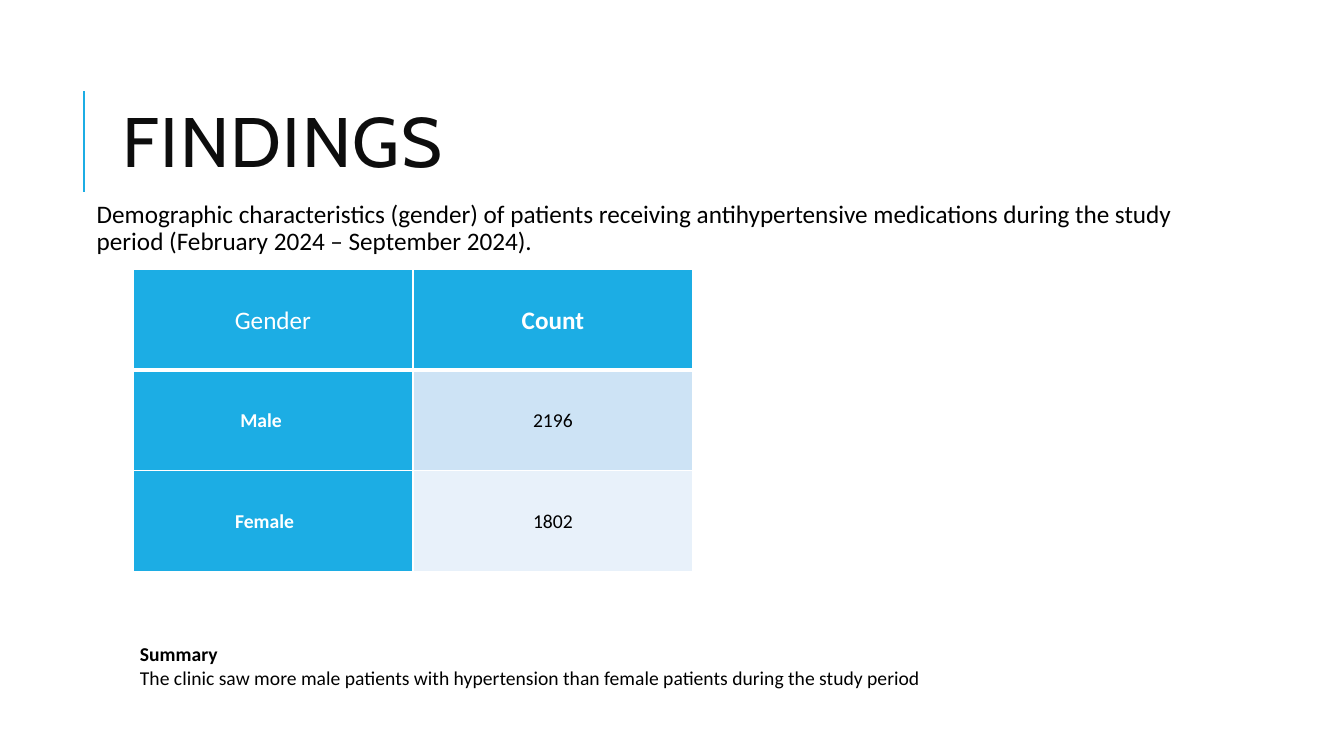
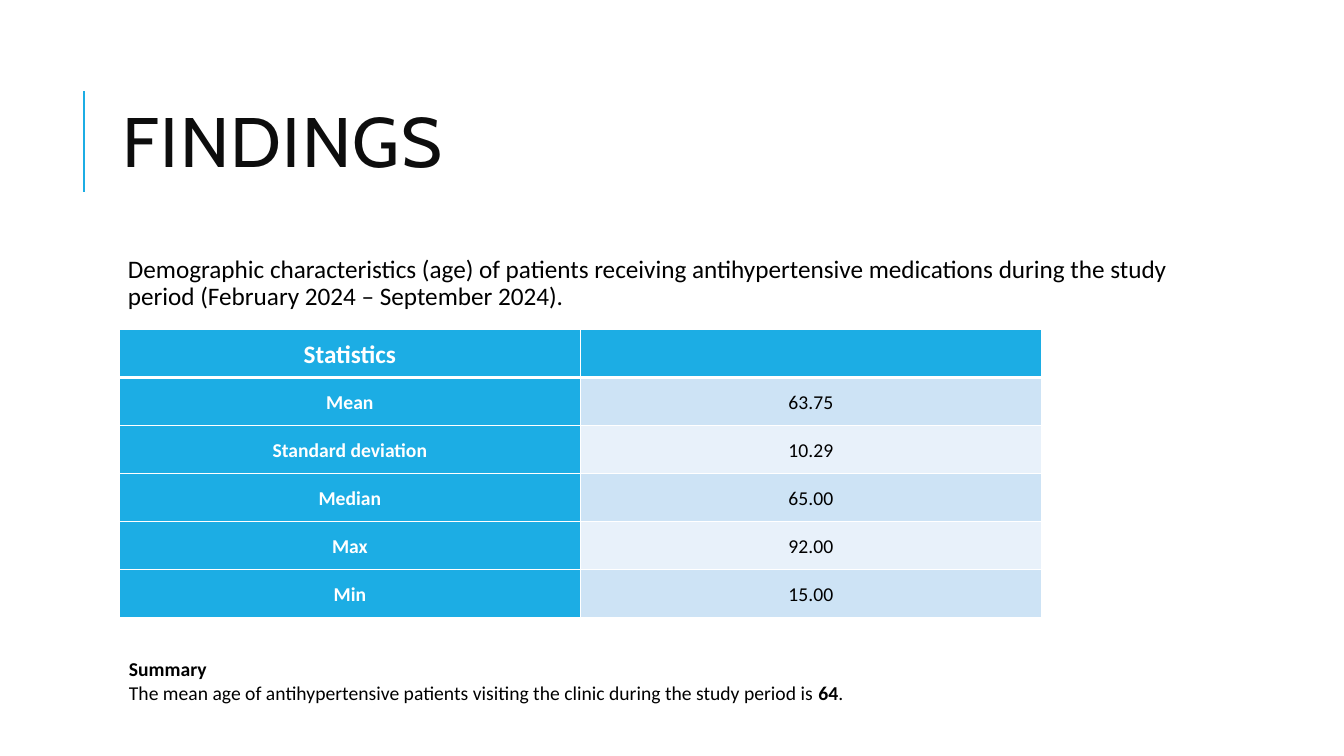
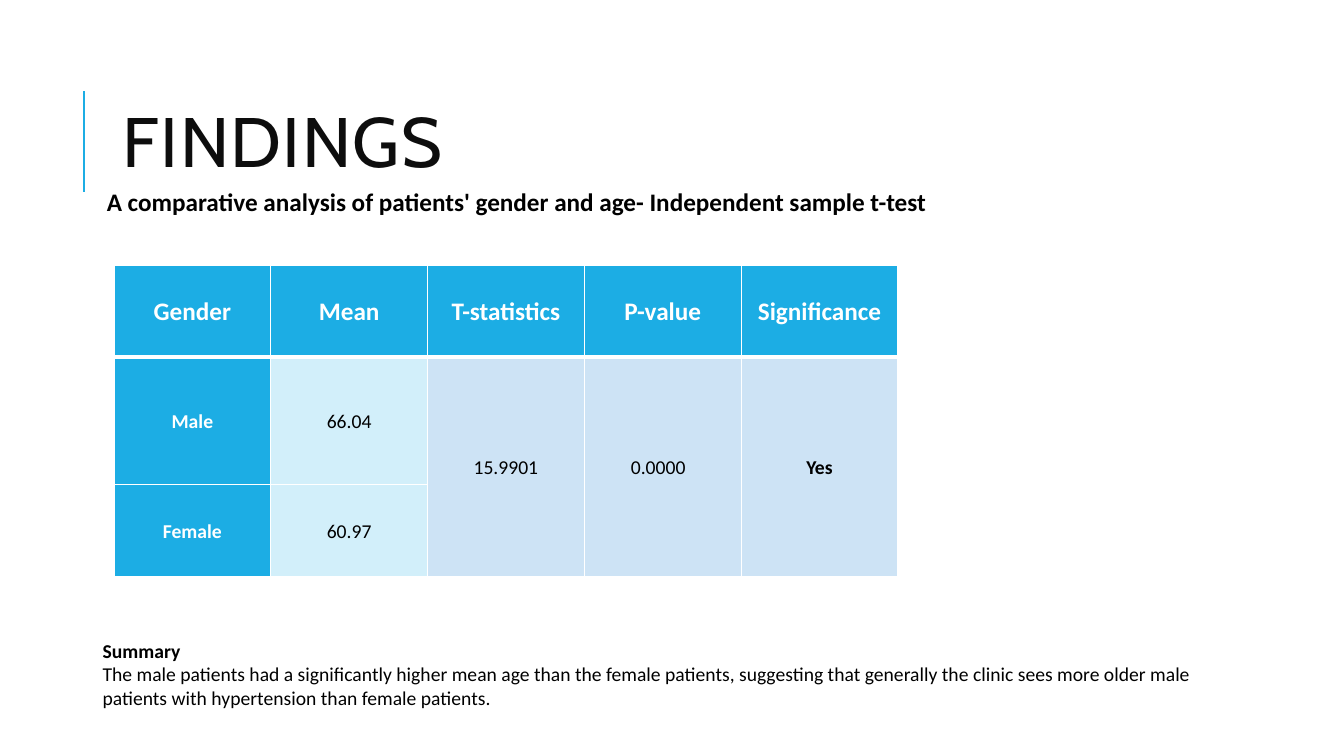
"""Build three findings slides, each with a lead sentence, a table and a summary."""
from lxml.etree import SubElement
from pptx import Presentation
from pptx.dml.color import RGBColor
from pptx.enum.shapes import MSO_CONNECTOR
from pptx.enum.text import MSO_ANCHOR, MSO_AUTO_SIZE, PP_ALIGN
from pptx.oxml.ns import qn
from pptx.util import Pt

ACCENT = RGBColor(0x1C, 0xAD, 0xE4)
INK = RGBColor(0x0D, 0x0D, 0x0D)
BLACK = RGBColor(0, 0, 0)
WHITE = RGBColor(0xFF, 0xFF, 0xFF)
BAND_DARK = RGBColor(0xCD, 0xE3, 0xF5)
BAND_LIGHT = RGBColor(0xE8, 0xF1, 0xFA)
MEAN_FILL = RGBColor(0xD2, 0xEF, 0xFA)

TITLE = "FINDINGS"
TITLE_FONT, TEXT_FONT = "Cabin", "Calibri"
TITLE_AREA = (80.6, 46.1, 765.4, 118.1)
RULE_X, RULE_TOP, RULE_BOTTOM = 60, 65, 137
CELL_INSET = 5

PAGES = [
    {
        "lead": "Demographic characteristics (gender) of patients receiving antihypertensive "
                "medications during the study period (February 2024 – September 2024).",
        "lead_area": (58.3, 140.4, 828, 342.7),
        "table_at": (95, 192.2),
        "column_width": 200,
        "row_heights": [72] * 3,
        "rows": [["Gender", "Count"], ["Male", "2196"], ["Female", "1802"]],
        "bold": {(0, 0): False},
        "right_extra": {(1, 0): 17, (2, 0): 12},
        "summary": [("The clinic saw more male patients with hypertension than female "
                     "patients during the study period", False)],
        "summary_area": (92.9, 455, 746.6, 41),
    },
    {
        "lead": "Demographic characteristics (age) of patients receiving antihypertensive "
                "medications during the study period (February 2024 – September 2024).",
        "lead_area": (80.6, 180, 765.4, 316.8),
        "table_at": (85.3, 235.4),
        "column_width": 329.3,
        "row_heights": [34.3] * 6,
        "rows": [["Statistics", ""], ["Mean", "63.75"], ["Standard deviation", "10.29"],
                 ["Median", "65.00"], ["Max", "92.00"], ["Min", "15.00"]],
        "summary": [("The mean age of antihypertensive patients visiting the clinic during "
                     "the study period is ", False), ("64", True), (".", False)],
        "summary_area": (85, 465.8, 735, 41),
    },
    {
        "lead": "A comparative analysis of patients' gender and age- Independent sample t-test",
        "lead_bold": True,
        "lead_area": (65.5, 131.8, 765.4, 316.8),
        "table_at": (81.4, 189.4),
        "column_width": 112,
        "row_heights": [65.5, 91.4, 65.5],
        "rows": [["Gender", "Mean", "T-statistics", "P-value", "Significance"],
                 ["Male", "66.04", "15.9901", "0.0000", "Yes"],
                 ["Female", "60.97", "", "", ""]],
        "bold": {(1, 4): True},
        "right_extra": {(1, 3): 6.5},
        "fills": {(1, 1): MEAN_FILL, (2, 1): MEAN_FILL},
        "merged_columns": [2, 3, 4],
        "summary": [("The male patients had a significantly higher mean age than the female "
                     "patients, suggesting that generally the clinic sees more older male "
                     "patients with hypertension than female patients.", False)],
        "summary_area": (66.2, 452.2, 836.6, 58.3),
    },
]


def write(para, text, *, size, font=TEXT_FONT, color=BLACK, bold=False,
          align=PP_ALIGN.LEFT, spacing=None):
    """Add a formatted run to a paragraph and return it."""
    para.alignment = align
    if spacing:
        para.line_spacing = spacing
    span = para.add_run()
    span.text = text
    span.font.size = Pt(size)
    span.font.name = font
    span.font.bold = bold
    span.font.color.rgb = color
    return span


def place(shape, area):
    """Set the position and size of a shape in points."""
    shape.left, shape.top, shape.width, shape.height = map(Pt, area)


def add_title(page):
    """Format the title and draw the accent rule beside it."""
    title = page.shapes.title
    place(title, TITLE_AREA)
    frame = title.text_frame
    frame.word_wrap = True
    frame.auto_size = MSO_AUTO_SIZE.NONE
    frame.vertical_anchor = MSO_ANCHOR.MIDDLE
    span = write(frame.paragraphs[0], TITLE, size=50, font=TITLE_FONT, color=INK, spacing=0.8)
    span.font._element.set("spc", "100")
    rule = page.shapes.add_connector(MSO_CONNECTOR.STRAIGHT, Pt(RULE_X), Pt(RULE_BOTTOM),
                                     Pt(RULE_X), Pt(RULE_TOP))
    rule.line.color.rgb = ACCENT
    rule.line.width = Pt(1.5)
    SubElement(rule._element.spPr, qn("a:effectLst"))


def add_box(page, area):
    """Add a wrapping text box and return its frame."""
    frame = page.shapes.add_textbox(*map(Pt, area)).text_frame
    frame.word_wrap = True
    return frame


def add_lead(page, content):
    """Add the sentence that introduces the table."""
    frame = add_box(page, content["lead_area"])
    frame.margin_left = Pt(10.8)
    frame.margin_top = frame.margin_right = frame.margin_bottom = Pt(3.6)
    write(frame.paragraphs[0], content["lead"], size=18,
          bold=content.get("lead_bold", False), spacing=0.9)


def add_borders(cell, is_header):
    """Draw white cell borders, with a heavy one below the header."""
    widths = {"a:lnL": 1, "a:lnR": 1}
    if is_header:
        widths["a:lnT"] = 1
    widths["a:lnB"] = 3 if is_header else 1
    properties = cell._tc.get_or_add_tcPr()
    for tag, width in widths.items():
        line = SubElement(properties, qn(tag), w=str(Pt(width)))
        SubElement(SubElement(line, qn("a:solidFill")), qn("a:srgbClr"), val=str(WHITE))


def format_cell(cell, text, row, column, content):
    """Fill, border and write one table cell."""
    is_header = row == 0
    is_label = is_header or column == 0
    band = BAND_DARK if row % 2 else BAND_LIGHT
    fill = ACCENT if is_label else content.get("fills", {}).get((row, column), band)
    extra = content.get("right_extra", {}).get((row, column), 0)
    add_borders(cell, is_header)
    cell.fill.solid()
    cell.fill.fore_color.rgb = fill
    cell.vertical_anchor = MSO_ANCHOR.MIDDLE
    cell.margin_left, cell.margin_right = Pt(CELL_INSET), Pt(CELL_INSET + extra)
    cell.margin_top = cell.margin_bottom = 0
    if text:
        write(cell.text_frame.paragraphs[0], text, size=18 if is_header else 14,
              color=WHITE if is_label else BLACK,
              bold=content.get("bold", {}).get((row, column), is_label),
              align=PP_ALIGN.CENTER, spacing=1.07)


def add_findings_table(page, content):
    """Add the table with its column widths, row heights and merged cells."""
    rows, heights = content["rows"], content["row_heights"]
    count = len(rows[0])
    area = (*content["table_at"], content["column_width"] * count, sum(heights))
    table = page.shapes.add_table(len(rows), count, *map(Pt, area)).table
    for column in table.columns:
        column.width = Pt(content["column_width"])
    for row, height in zip(table.rows, heights):
        row.height = Pt(height)
    for row, texts in enumerate(rows):
        for column, text in enumerate(texts):
            format_cell(table.cell(row, column), text, row, column, content)
    for column in content.get("merged_columns", []):
        table.cell(1, column).merge(table.cell(len(rows) - 1, column))


def add_summary(page, content):
    """Add the summary heading and sentence."""
    frame = add_box(page, content["summary_area"])
    frame.auto_size = MSO_AUTO_SIZE.SHAPE_TO_FIT_TEXT
    frame.vertical_anchor = MSO_ANCHOR.MIDDLE
    write(frame.paragraphs[0], "Summary", size=14, bold=True)
    para = frame.add_paragraph()
    for text, bold in content["summary"]:
        write(para, text, size=14, bold=bold)


def main():
    """Build and save the deck."""
    deck = Presentation()
    deck.slide_width, deck.slide_height = Pt(960), Pt(540)
    title_only = deck.slide_layouts[5]
    for content in PAGES:
        page = deck.slides.add_slide(title_only)
        add_title(page)
        add_lead(page, content)
        add_findings_table(page, content)
        add_summary(page, content)
    deck.save("out.pptx")


if __name__ == "__main__":
    main()
